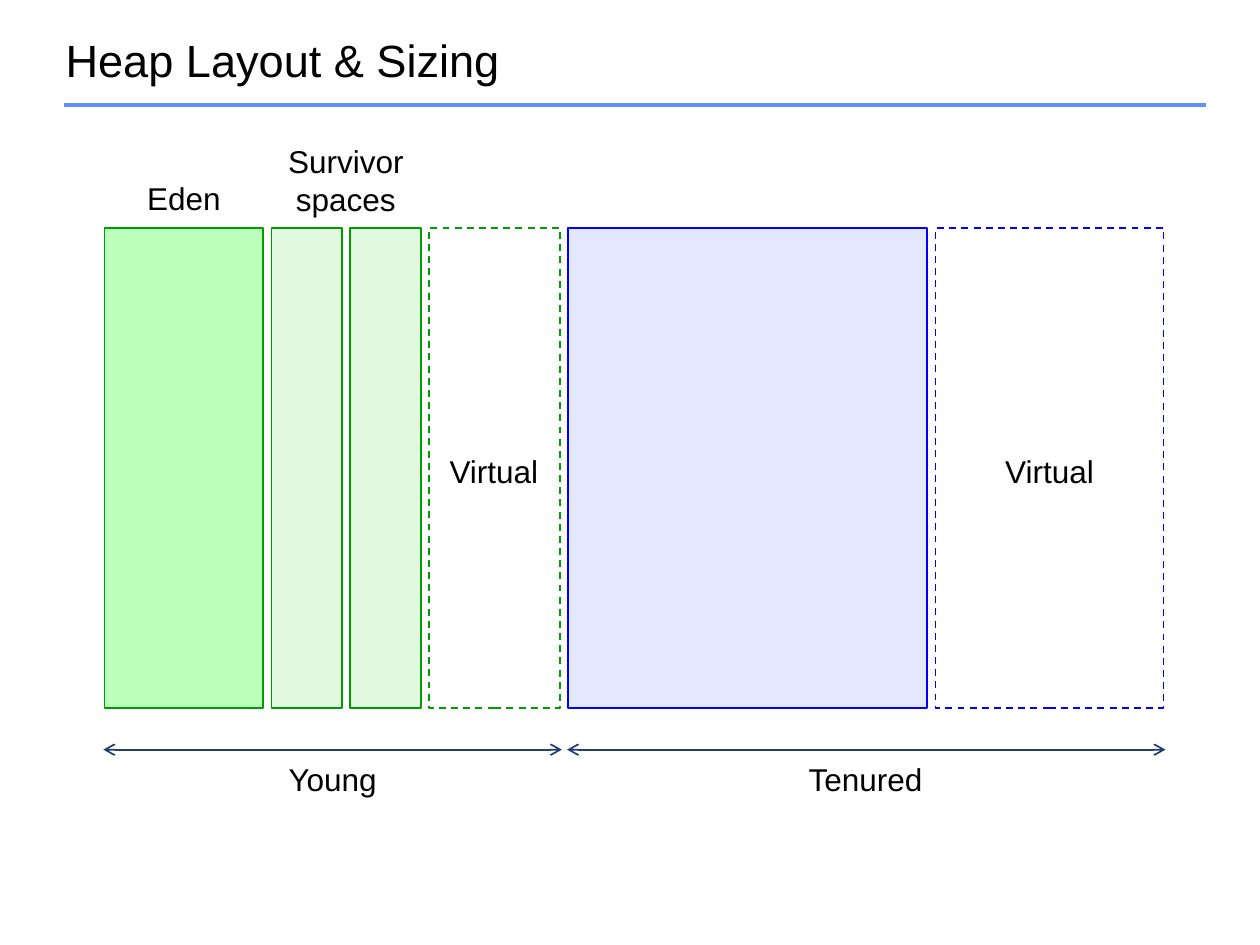
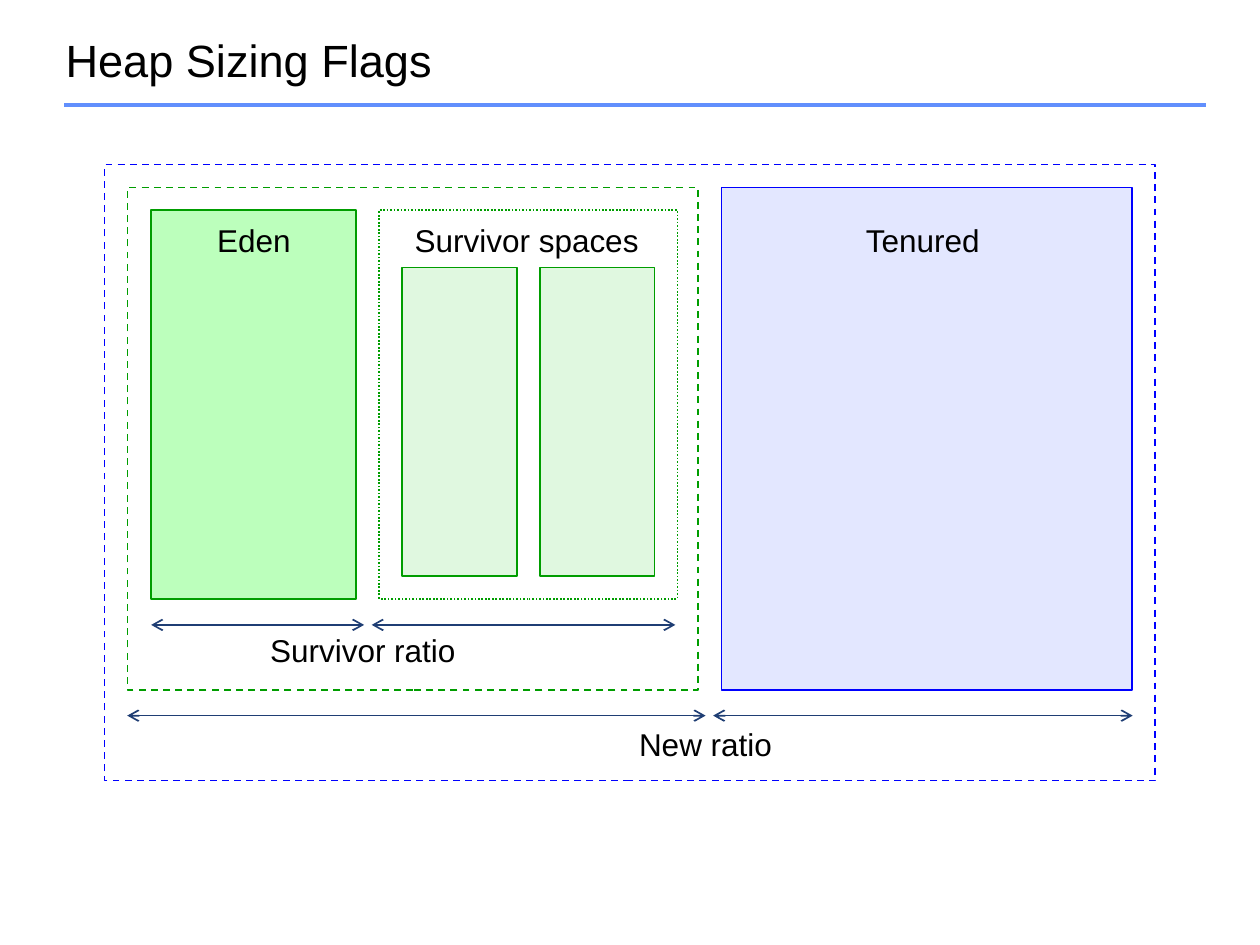
import pptx
import pptx.util
import pptx.dml.color
import pptx.enum.dml
import pptx.enum.shapes
import pptx.enum.text
import pptx.oxml.ns
from lxml import etree

RGBColor = pptx.dml.color.RGBColor
BLACK = RGBColor(0x00, 0x00, 0x00)
WHITE = RGBColor(0xFF, 0xFF, 0xFF)
TITLE_RULE = RGBColor(0x61, 0x8F, 0xFD)
SPAN_NAVY = RGBColor(0x1F, 0x3E, 0x74)
YOUNG_EDGE = RGBColor(0x00, 0x9D, 0x00)
EDEN_FILL = RGBColor(0xBC, 0xFF, 0xBC)
SURVIVOR_FILL = RGBColor(0xE0, 0xF8, 0xE0)
TENURED_EDGE = RGBColor(0x00, 0x00, 0xFF)
TENURED_FILL = RGBColor(0xE3, 0xE7, 0xFF)
DASH = pptx.enum.dml.MSO_LINE.DASH
DOT = pptx.enum.dml.MSO_LINE.ROUND_DOT
STRAIGHT = pptx.enum.shapes.MSO_CONNECTOR.STRAIGHT
FONT = "Arial"

deck = pptx.Presentation()
deck.slide_width = pptx.util.Inches(10)
deck.slide_height = pptx.util.Inches(7.5)
# All lengths below are percentages of the slide's width and height.
COL = deck.slide_width / 100
ROW = deck.slide_height / 100


def add_space(slide, left, top, width, height, edge, fill=None, dash=None):
    """Draw one memory area; without a fill it is only an outline."""
    space = slide.shapes.add_shape(
        pptx.enum.shapes.MSO_SHAPE.RECTANGLE,
        round(left * COL), round(top * ROW), round(width * COL), round(height * ROW))
    space.shadow.inherit = False
    if fill is None:
        space.fill.background()
    else:
        space.fill.solid()
        space.fill.fore_color.rgb = fill
    space.line.color.rgb = edge
    space.line.width = pptx.util.Pt(1)
    if dash is not None:
        space.line.dash_style = dash


def add_label(slide, text, centre, top, width=13, height=4.5):
    label = slide.shapes.add_textbox(
        round((centre - width / 2) * COL), round(top * ROW),
        round(width * COL), round(height * ROW))
    frame = label.text_frame
    frame.word_wrap = True
    frame.margin_left = frame.margin_right = pptx.util.Inches(0.02)
    frame.margin_top = frame.margin_bottom = pptx.util.Inches(0.02)
    frame.text = text
    paragraph = frame.paragraphs[0]
    paragraph.alignment = pptx.enum.text.PP_ALIGN.CENTER
    font = paragraph.runs[0].font
    font.name, font.size = FONT, pptx.util.Pt(18)
    font.color.rgb = BLACK


# Shared title position and titles
layout = deck.slide_layouts[5]
layout_title = layout.placeholders[0]
layout_title.left, layout_title.top = round(4.2 * COL), round(3.33 * ROW)
layout_title.width, layout_title.height = round(91.7 * COL), round(6.67 * ROW)

for heading in ("Heap Layout & Sizing", "Heap Sizing Flags"):
    title_frame = deck.slides.add_slide(layout).shapes.title.text_frame
    title_frame.text = heading
    title_frame.auto_size = pptx.enum.text.MSO_AUTO_SIZE.NONE
    title_frame.vertical_anchor = pptx.enum.text.MSO_ANCHOR.MIDDLE
    title_paragraph = title_frame.paragraphs[0]
    title_paragraph.alignment = pptx.enum.text.PP_ALIGN.LEFT
    title_paragraph.line_spacing = 0.9
    title_font = title_paragraph.runs[0].font
    title_font.name, title_font.size = FONT, pptx.util.Pt(25.8)
    title_font.color.rgb = BLACK
layout_slide, flags_slide = deck.slides

# Shared rule below the title, kept on the layout
rule = layout_slide.shapes.add_connector(
    STRAIGHT, round(5.1 * COL), round(11.1 * ROW), round(95.7 * COL), round(11.1 * ROW))
rule.line.color.rgb = TITLE_RULE
rule.line.width = pptx.util.Pt(2)
etree.SubElement(rule._element.spPr, pptx.oxml.ns.qn("a:effectLst"))
layout.shapes._spTree.append(rule._element)

# Heap layout: spaces side by side
SPACE_GAP = 0.65
left = 8.3
for width, edge, fill, dash in (
    (12.6, YOUNG_EDGE, EDEN_FILL, None),
    (5.6, YOUNG_EDGE, SURVIVOR_FILL, None),
    (5.6, YOUNG_EDGE, SURVIVOR_FILL, None),
    (10.4, YOUNG_EDGE, WHITE, DASH),
    (28.5, TENURED_EDGE, TENURED_FILL, None),
    (18.1, TENURED_EDGE, WHITE, DASH),
):
    add_space(layout_slide, left, 24.13, width, 50.8, edge, fill, dash)
    left += width + SPACE_GAP

add_label(layout_slide, "Eden", 14.6, 18.67)
add_label(layout_slide, "Survivor spaces", 27.45, 14.8, height=8.3)
for text, centre, top in (
    ("Virtual", 39.2, 47.6),
    ("Virtual", 83.3, 47.6),
    ("Young", 26.4, 80.13),
    ("Tenured", 68.7, 80.13),
):
    add_label(layout_slide, text, centre, top)

# Heap flags: nested spaces, each inset by one gap
GAP_X, GAP_Y = 1.83, 2.43
HEAP_LEFT, HEAP_TOP = 8.3, 17.4
young_left, young_top = HEAP_LEFT + GAP_X, HEAP_TOP + GAP_Y
eden_left, eden_top = young_left + GAP_X, young_top + GAP_Y
YOUNG_WIDTH, EDEN_WIDTH, SURVIVOR_WIDTH, TENURED_WIDTH = 45.3, 16.3, 9.1, 32.6
YOUNG_HEIGHT, EDEN_HEIGHT = 53.2, 41.1
SURVIVOR_TOP = 28.3
survivors_left = eden_left + EDEN_WIDTH + GAP_X
survivors_width = 2 * SURVIVOR_WIDTH + 3 * GAP_X
survivor_height = eden_top + EDEN_HEIGHT - GAP_Y - SURVIVOR_TOP
tenured_left = young_left + YOUNG_WIDTH + GAP_X

add_space(flags_slide, HEAP_LEFT, HEAP_TOP, YOUNG_WIDTH + TENURED_WIDTH + 3 * GAP_X,
          65.2, TENURED_EDGE, dash=DASH)
add_space(flags_slide, young_left, young_top, YOUNG_WIDTH, YOUNG_HEIGHT,
          YOUNG_EDGE, dash=DASH)
add_space(flags_slide, tenured_left, young_top, TENURED_WIDTH, YOUNG_HEIGHT,
          TENURED_EDGE, TENURED_FILL)
add_space(flags_slide, eden_left, eden_top, EDEN_WIDTH, EDEN_HEIGHT,
          YOUNG_EDGE, EDEN_FILL)
add_space(flags_slide, survivors_left, eden_top, survivors_width, EDEN_HEIGHT,
          YOUNG_EDGE, dash=DOT)
for index in range(2):
    survivor_left = survivors_left + GAP_X + index * (SURVIVOR_WIDTH + GAP_X)
    add_space(flags_slide, survivor_left, SURVIVOR_TOP, SURVIVOR_WIDTH,
              survivor_height, YOUNG_EDGE, SURVIVOR_FILL)

for text, centre, top in (
    ("Eden", 20.15, 23.07),
    ("Survivor spaces", 41.8, 23.07),
    ("Tenured", 73.25, 23.07),
    ("Survivor ratio", 28.8, 66.53),
    ("New ratio", 56, 76.4),
):
    add_label(flags_slide, text, centre, top, width=21.6)

# Double-headed spans on both slides
for slide, y, start, end in (
    (layout_slide, 79.33, 8.2, 44.6),
    (layout_slide, 79.33, 45, 92.5),
    (flags_slide, 66.13, 12, 28.9),
    (flags_slide, 66.13, 29.5, 53.6),
    (flags_slide, 75.73, 10.1, 56),
    (flags_slide, 75.73, 56.6, 89.9),
):
    span = slide.shapes.add_connector(
        STRAIGHT, round(start * COL), round(y * ROW), round(end * COL), round(y * ROW))
    span.line.color.rgb = SPAN_NAVY
    span.line.width = pptx.util.Pt(1)
    span_line = span.line._get_or_add_ln()
    for arrowhead in ("a:headEnd", "a:tailEnd"):
        etree.SubElement(span_line, pptx.oxml.ns.qn(arrowhead), type="arrow")
    etree.SubElement(span._element.spPr, pptx.oxml.ns.qn("a:effectLst"))

deck.save("out.pptx")
